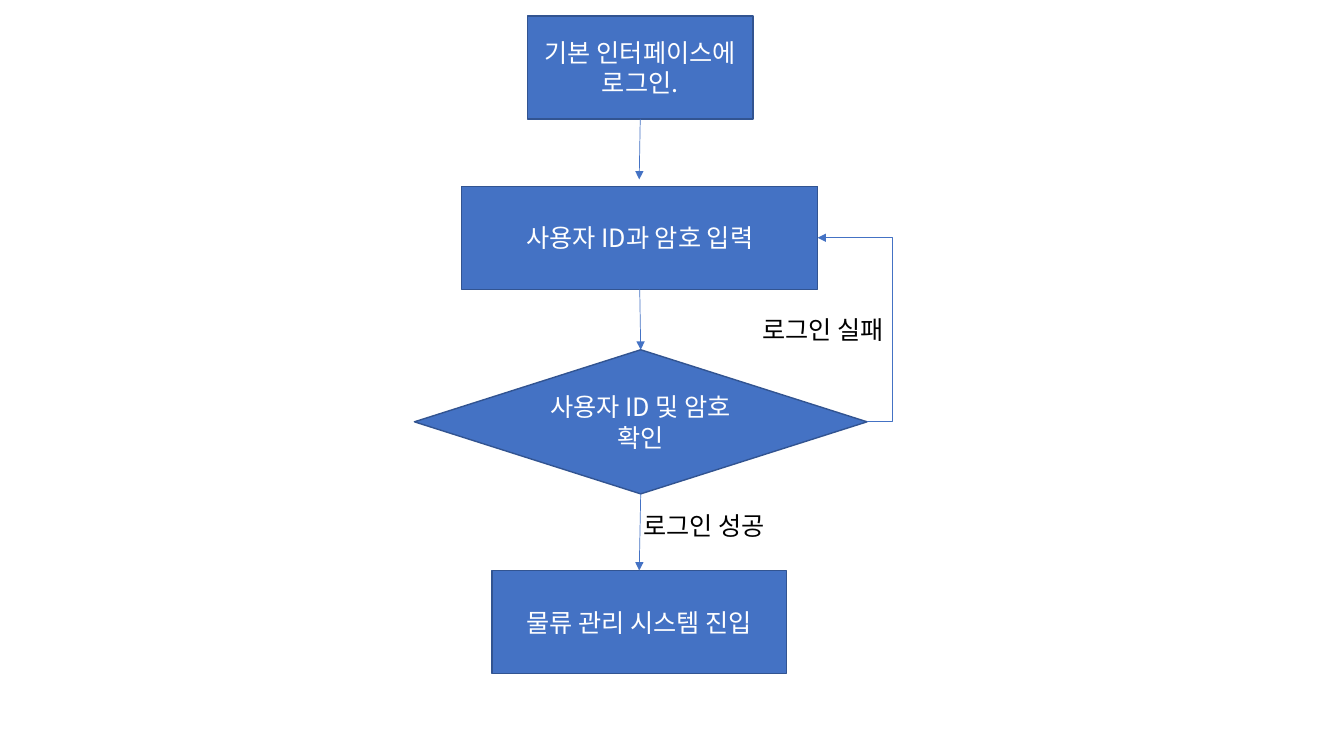
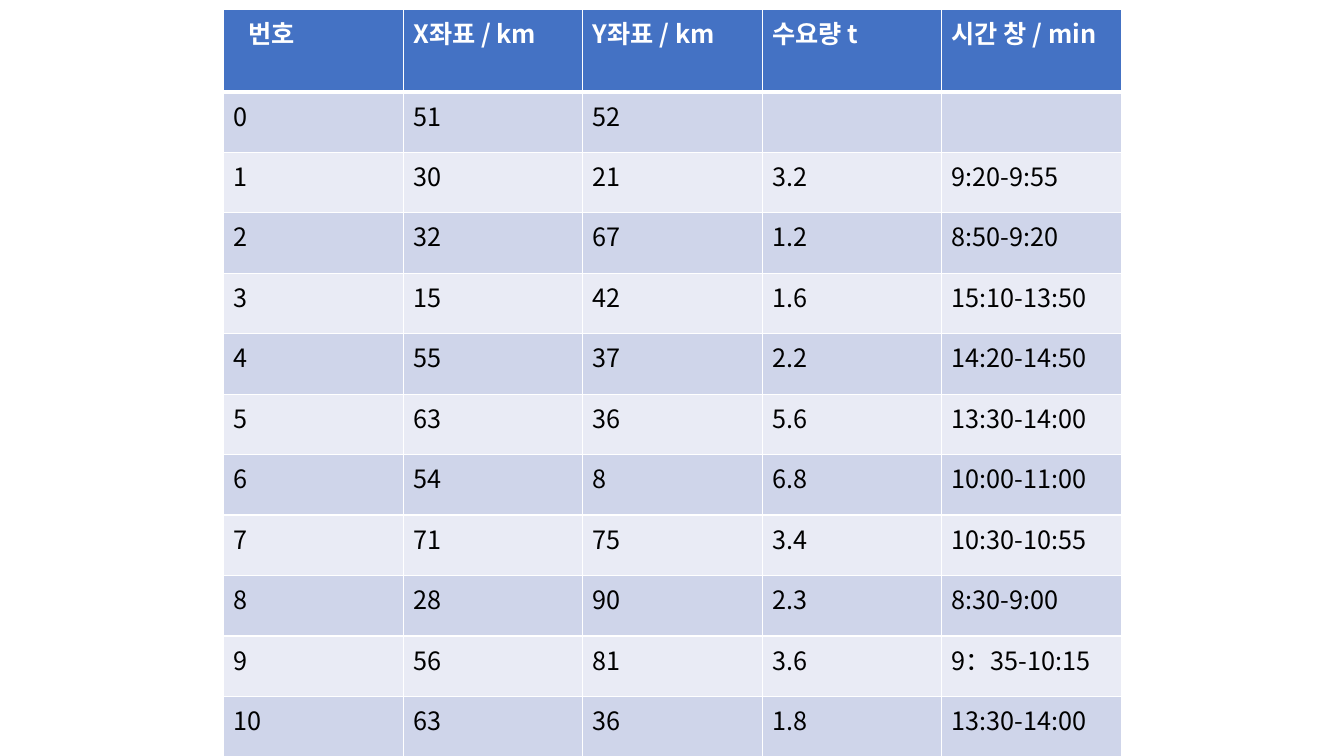
from lxml.etree import SubElement
from pptx import Presentation
from pptx.dml.color import RGBColor
from pptx.enum.shapes import MSO_CONNECTOR, MSO_SHAPE
from pptx.enum.text import MSO_ANCHOR, MSO_AUTO_SIZE, PP_ALIGN
from pptx.oxml.ns import qn
from pptx.util import Inches, Pt

FONT = "Noto Sans CJK SC"
BLUE = RGBColor(0x44, 0x72, 0xC4)
OUTLINE = RGBColor(0x32, 0x54, 0x91)
BAND_DARK = RGBColor(0xCF, 0xD5, 0xEA)
BAND_LIGHT = RGBColor(0xE9, 0xEB, 0xF5)
WHITE = RGBColor(0xFF, 0xFF, 0xFF)
BLACK = RGBColor(0, 0, 0)


def write(frame, text, color=BLACK, bold=False, align=PP_ALIGN.LEFT):
    paragraph = frame.paragraphs[0]
    paragraph.alignment = align
    run = paragraph.add_run()
    run.text = text
    run.font.name = FONT
    run.font.size = Pt(18)
    run.font.bold = bold
    run.font.color.rgb = color
    SubElement(run.font._element, qn("a:ea"), typeface=FONT)


def draw_arrow(slide, kind, start, end):
    arrow = slide.shapes.add_connector(kind, *map(Inches, start + end))
    arrow.line.color.rgb = BLUE
    arrow.line.width = Pt(0.5)
    SubElement(arrow.line._get_or_add_ln(), qn("a:tailEnd"), type="triangle")
    SubElement(arrow._element.spPr, qn("a:effectLst"))
    return arrow


prs = Presentation()
prs.slide_width = Inches(13.33)
prs.slide_height = Inches(7.5)
blank = prs.slide_layouts[6]

login_flow = prs.slides.add_slide(blank)
steps = []
for text, kind, left, top, width, height in [
    ("기본 인터페이스에 로그인.", MSO_SHAPE.FLOWCHART_PROCESS, 5.23, 0.16, 2.24, 1.02),
    ("사용자 ID과 암호 입력", MSO_SHAPE.FLOWCHART_PROCESS, 4.58, 1.85, 3.53, 1.02),
    ("사용자 ID 및 암호 확인", MSO_SHAPE.FLOWCHART_DECISION, 4.11, 3.47, 4.49, 1.43),
    ("물류 관리 시스템 진입", MSO_SHAPE.FLOWCHART_PROCESS, 4.88, 5.66, 2.92, 1.02),
]:
    step = login_flow.shapes.add_shape(
        kind, Inches(left), Inches(top), Inches(width), Inches(height))
    step.shadow.inherit = False
    step.fill.solid()
    step.fill.fore_color.rgb = BLUE
    step.line.color.rgb = OUTLINE
    step.line.width = Pt(1)
    step.text_frame.word_wrap = True
    step.text_frame.vertical_anchor = MSO_ANCHOR.MIDDLE
    write(step.text_frame, text, color=WHITE, align=PP_ALIGN.CENTER)
    steps.append(step)
start, entry, check, system = steps

TOP, BOTTOM, RIGHT = 0, 2, 3
to_entry = draw_arrow(login_flow, MSO_CONNECTOR.STRAIGHT, (6.34, 1.18), (6.34, 1.78))
to_entry.begin_connect(start, BOTTOM)
for source, target, begin, end in [
    (entry, check, (6.34, 2.87), (6.35, 3.47)),
    (check, system, (6.35, 4.9), (6.34, 5.66)),
]:
    link = draw_arrow(login_flow, MSO_CONNECTOR.STRAIGHT, begin, end)
    link.begin_connect(source, BOTTOM)
    link.end_connect(target, TOP)

retry = draw_arrow(login_flow, MSO_CONNECTOR.ELBOW, (8.6, 4.19), (8.11, 2.36))
retry.begin_connect(check, RIGHT)
retry.end_connect(entry, RIGHT)
bend = retry._element.spPr.find(qn("a:prstGeom")).get_or_add_avLst()
SubElement(bend, qn("a:gd"), name="adj1", fmla="val -50600")

for text, left, top in [("로그인 실패", 7.46, 3.07), ("로그인 성공", 6.28, 5.01)]:
    outcome = login_flow.shapes.add_textbox(
        Inches(left), Inches(top), Inches(1.53), Inches(0.4))
    outcome.text_frame.word_wrap = False
    outcome.text_frame.auto_size = MSO_AUTO_SIZE.SHAPE_TO_FIT_TEXT
    write(outcome.text_frame, text)

customers = [
    ("번호", "X좌표 / km", "Y좌표 / km", "수요량 t", "시간 창 / min"),
    ("0", "51", "52", "", ""),
    ("1", "30", "21", "3.2", "9:20-9:55"),
    ("2", "32", "67", "1.2", "8:50-9:20"),
    ("3", "15", "42", "1.6", "15:10-13:50"),
    ("4", "55", "37", "2.2", "14:20-14:50"),
    ("5", "63", "36", "5.6", "13:30-14:00"),
    ("6", "54", "8", "6.8", "10:00-11:00"),
    ("7", "71", "75", "3.4", "10:30-10:55"),
    ("8", "28", "90", "2.3", "8:30-9:00"),
    ("9", "56", "81", "3.6", "9：35-10:15"),
    ("10", "63", "36", "1.8", "13:30-14:00"),
]
demand = prs.slides.add_slide(blank)
schedule = demand.shapes.add_table(
    len(customers), len(customers[0]),
    Inches(2.22), Inches(0.09), Inches(8.89), Inches(7.42)).table
for column in schedule.columns:
    column.width = Inches(1.78)
for row_index, values in enumerate(customers):
    header = row_index == 0
    schedule.rows[row_index].height = Inches(0.82 if header else 0.6)
    band = BLUE if header else BAND_DARK if row_index % 2 else BAND_LIGHT
    for column_index, value in enumerate(values):
        cell = schedule.cell(row_index, column_index)
        borders = cell._tc.get_or_add_tcPr()
        for side in ("L", "R", "T", "B"):
            thick = (header and side == "B") or (row_index == 1 and side == "T")
            border = SubElement(borders, qn(f"a:ln{side}"), w=str(Pt(3 if thick else 1)))
            paint = SubElement(border, qn("a:solidFill"))
            SubElement(paint, qn("a:srgbClr"), val=str(WHITE))
        cell.fill.solid()
        cell.fill.fore_color.rgb = band
        if value:
            write(cell.text_frame, value, color=WHITE if header else BLACK, bold=header)
schedule.cell(0, 0).margin_left = Inches(0.24)

prs.save("out.pptx")
